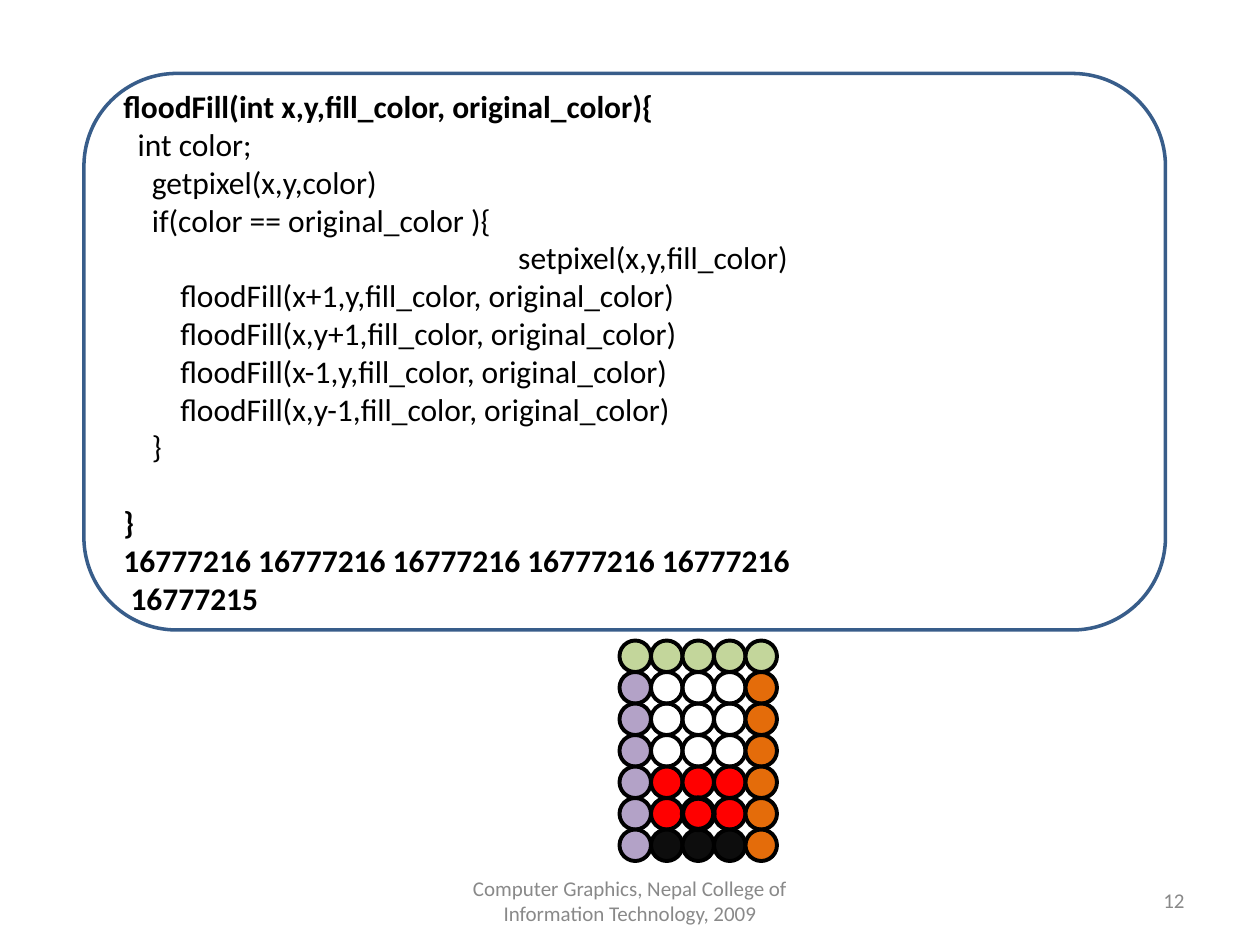
from pptx import Presentation
from pptx.dml.color import RGBColor
from pptx.enum.shapes import MSO_SHAPE
from pptx.enum.text import MSO_ANCHOR, PP_ALIGN
from pptx.util import Pt

PX = 9525  # EMU per px, 96 px to the inch
BLACK = RGBColor(0x00, 0x00, 0x00)
WHITE = RGBColor(0xFF, 0xFF, 0xFF)
BLUE = RGBColor(0x38, 0x5D, 0x8A)
GRAY = RGBColor(0x89, 0x89, 0x89)
GREEN = RGBColor(0xC3, 0xD6, 0x9B)
PURPLE = RGBColor(0xB3, 0xA2, 0xC7)
ORANGE = RGBColor(0xE4, 0x6C, 0x0A)
RED = RGBColor(0xFF, 0x00, 0x00)
DARK = RGBColor(0x0D, 0x0D, 0x0D)

CODE = [
    ("floodFill(int x,y,fill_color, original_color){", True),
    ("  int color;", False),
    ("    getpixel(x,y,color)", False),
    ("    if(color == original_color ){", False),
    ("        setpixel(x,y,fill_color)", False),
    ("        floodFill(x+1,y,fill_color, original_color)", False),
    ("        floodFill(x,y+1,fill_color, original_color)", False),
    ("        floodFill(x-1,y,fill_color, original_color)", False),
    ("        floodFill(x,y-1,fill_color, original_color)", False),
    ("    }", False),
    ("}", True),
    ("16777216 16777216 16777216 16777216 16777216", True),
    (" 16777215", True),
]

# One letter per pixel of the filled region
PIXELS = ["GGGGG", "P...O", "P...O", "P...O", "PRRRO", "PRRRO", "PDDDO"]
PIXEL_COLORS = {"G": GREEN, "P": PURPLE, "O": ORANGE, "R": RED, "D": DARK}
GRID_LEFT, GRID_TOP, PIXEL = 472, 488, 24
SEED_ROW, SEED_COL = 5, 2

prs = Presentation()
prs.slide_width = 960 * PX
prs.slide_height = 720 * PX
s = prs.slides.add_slide(prs.slide_layouts[6])


def add_outlined(kind, left, top, width, height, fill, line, weight):
    """Add a shape without shadow; a fill of None leaves it hollow."""
    sp = s.shapes.add_shape(kind, left * PX, top * PX, width * PX, height * PX)
    sp.shadow.inherit = False
    if fill is None:
        sp.fill.background()
    else:
        sp.fill.solid()
        sp.fill.fore_color.rgb = fill
    sp.line.color.rgb = line
    sp.line.width = Pt(weight)
    return sp


def style_paragraph(p, size, color, align, bold=False):
    p.alignment = align
    for r in p.runs:
        r.font.name = "Calibri"
        r.font.size = Pt(size)
        r.font.bold = bold
        r.font.color.rgb = color


# Code box
sp = add_outlined(MSO_SHAPE.ROUNDED_RECTANGLE, 64, 56, 824, 424, WHITE, BLUE, 2)
tf = sp.text_frame
tf.word_wrap = True
tf.vertical_anchor = MSO_ANCHOR.MIDDLE
for i, (text, bold) in enumerate(CODE):
    p = tf.paragraphs[0] if i == 0 else tf.add_paragraph()
    p.text = text
    align = PP_ALIGN.CENTER if "setpixel" in text else PP_ALIGN.LEFT
    style_paragraph(p, 18, BLACK, align, bold)
    if text == "}":
        p.space_before = Pt(21.6)  # one line of air before the closing brace

# Slide number and footer
for left, width, text, align in [
    (688, 224, "12", PP_ALIGN.RIGHT),
    (328, 304, "Computer Graphics, Nepal College of Information Technology, 2009",
     PP_ALIGN.CENTER),
]:
    sp = s.shapes.add_textbox(left * PX, 667 * PX, width * PX, 38 * PX)
    tf = sp.text_frame
    tf.word_wrap = True
    tf.vertical_anchor = MSO_ANCHOR.MIDDLE
    tf.text = text
    style_paragraph(tf.paragraphs[0], 12, GRAY, align)

# Pixel grid
for row, letters in enumerate(PIXELS):
    for col, letter in enumerate(letters):
        add_outlined(MSO_SHAPE.OVAL, GRID_LEFT + col * PIXEL, GRID_TOP + row * PIXEL,
                     PIXEL, PIXEL, PIXEL_COLORS.get(letter), BLACK, 2.25)

# Ring around the seed pixel
add_outlined(MSO_SHAPE.OVAL, GRID_LEFT + SEED_COL * PIXEL, GRID_TOP + SEED_ROW * PIXEL,
             PIXEL, PIXEL, None, BLACK, 3)

prs.save("out.pptx")
